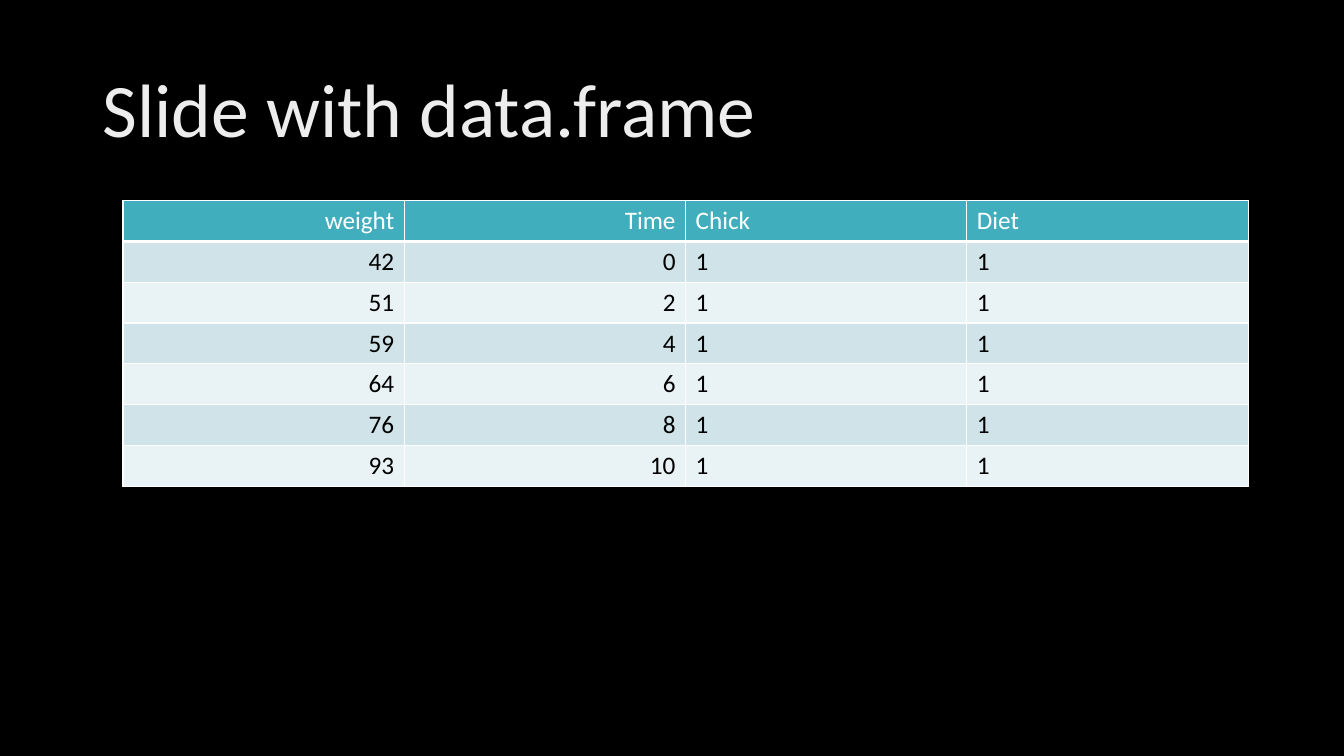
from lxml import etree
from pptx import Presentation
from pptx import util as u
from pptx.dml.color import RGBColor
from pptx.enum import text
from pptx.oxml import ns

WIDTH, HEIGHT = u.Inches(13.33), u.Inches(7.5)
FONT = "Calibri"
COLORS = {
    "background": "000000",
    "title": "EDEDED",
    "header": "41AEBD",
    "header_text": "FFFFFF",
    "odd_row": "CFE3E8",
    "even_row": "E9F2F4",
    "body_text": "000000",
    "border": "FFFFFF",
}
HEADINGS = ["weight", "Time", "Chick", "Diet"]
WEIGHTS = [42, 51, 59, 64, 76, 93]
RECORDS = [(weight, 2 * day, 1, 1) for day, weight in enumerate(WEIGHTS)]
NUMERIC_COLUMNS = 2
COLUMN_WIDTH, ROW_HEIGHT = u.Inches(2.79), u.Inches(0.405)


def color(name):
    return RGBColor.from_string(COLORS[name])


def format_text(paragraph, size, color_name):
    for run in paragraph.runs:
        run.font.name = FONT
        run.font.size = u.Pt(size)
        run.font.bold = False
        run.font.color.rgb = color(color_name)


def add_title(slide, wording):
    title = slide.shapes.add_textbox(
        u.Inches(0.92), u.Inches(0.4), u.Inches(11.5), u.Inches(1.45))
    frame = title.text_frame
    frame.word_wrap = True
    frame.vertical_anchor = text.MSO_ANCHOR.MIDDLE
    frame.text = wording
    frame.paragraphs[0].line_spacing = 0.9
    format_text(frame.paragraphs[0], 54, "title")


def add_borders(cell, widths):
    properties = cell._tc.get_or_add_tcPr()
    for side, points in widths.items():
        line = etree.SubElement(
            properties, ns.qn(f"a:ln{side}"), w=str(u.Pt(points)))
        fill = etree.SubElement(line, ns.qn("a:solidFill"))
        etree.SubElement(fill, ns.qn("a:srgbClr"), val=COLORS["border"])


def fill_cell(cell, value, row, column):
    is_header = row == 0
    borders = {"L": 1, "R": 1}
    if is_header:
        borders["T"] = 1
    borders["B"] = 3 if is_header else 1
    add_borders(cell, borders)

    band = "header" if is_header else "odd_row" if row % 2 else "even_row"
    cell.fill.solid()
    cell.fill.fore_color.rgb = color(band)

    cell.text_frame.text = str(value)
    paragraph = cell.text_frame.paragraphs[0]
    if column < NUMERIC_COLUMNS:
        paragraph.alignment = text.PP_ALIGN.RIGHT
    format_text(paragraph, 18, "header_text" if is_header else "body_text")


def add_chick_table(slide):
    rows = [HEADINGS, *RECORDS]
    table = slide.shapes.add_table(
        len(rows), len(HEADINGS), u.Inches(1.22), u.Inches(1.99),
        COLUMN_WIDTH * len(HEADINGS), ROW_HEIGHT * len(rows)).table
    for table_column in table.columns:
        table_column.width = COLUMN_WIDTH
    for row, values in enumerate(rows):
        table.rows[row].height = ROW_HEIGHT
        for column, value in enumerate(values):
            fill_cell(table.cell(row, column), value, row, column)


def main():
    deck = Presentation()
    deck.slide_width, deck.slide_height = WIDTH, HEIGHT
    slide = deck.slides.add_slide(deck.slide_layouts[6])
    slide.background.fill.solid()
    slide.background.fill.fore_color.rgb = color("background")
    add_title(slide, "Slide with data.frame")
    add_chick_table(slide)
    deck.save("out.pptx")


if __name__ == "__main__":
    main()
